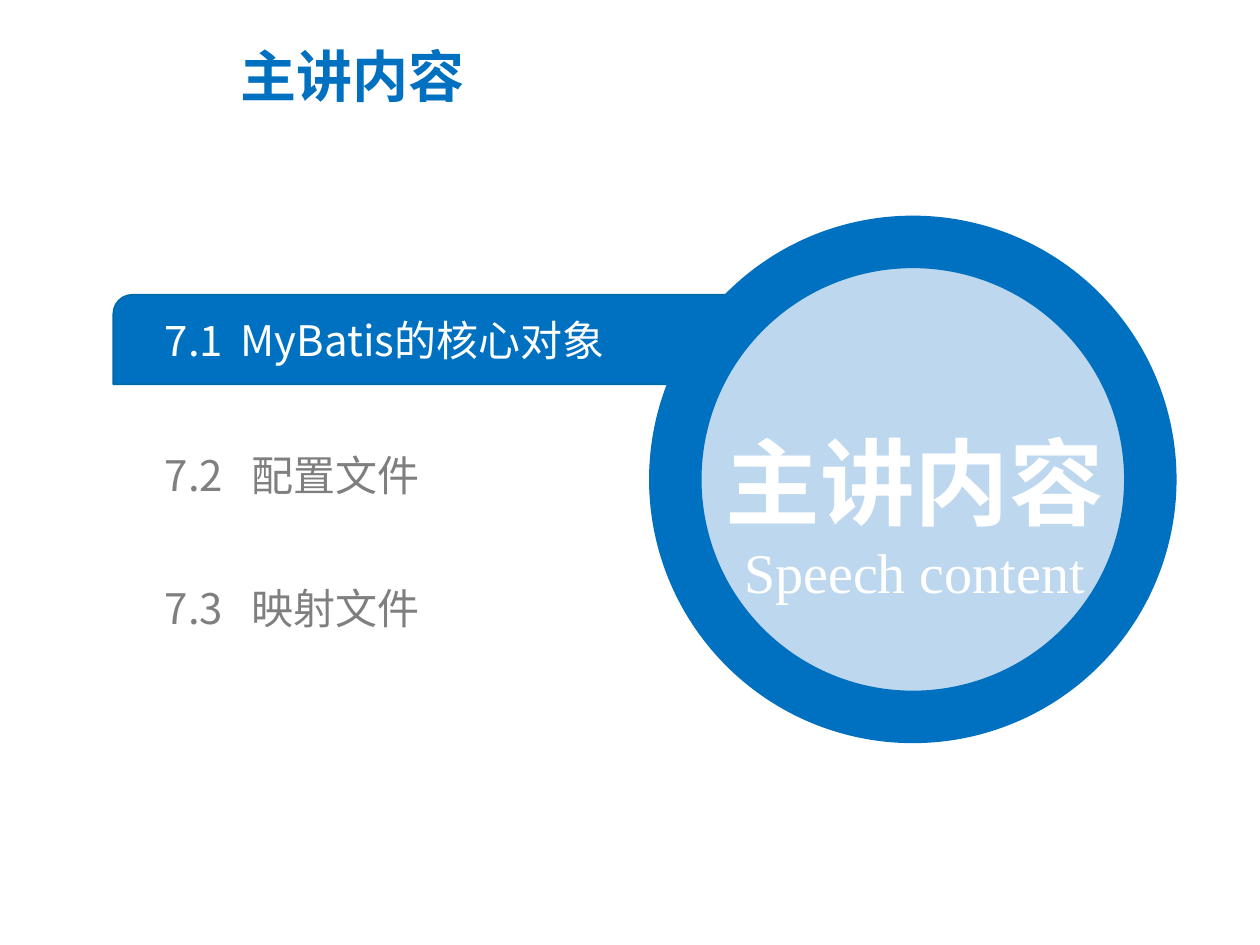
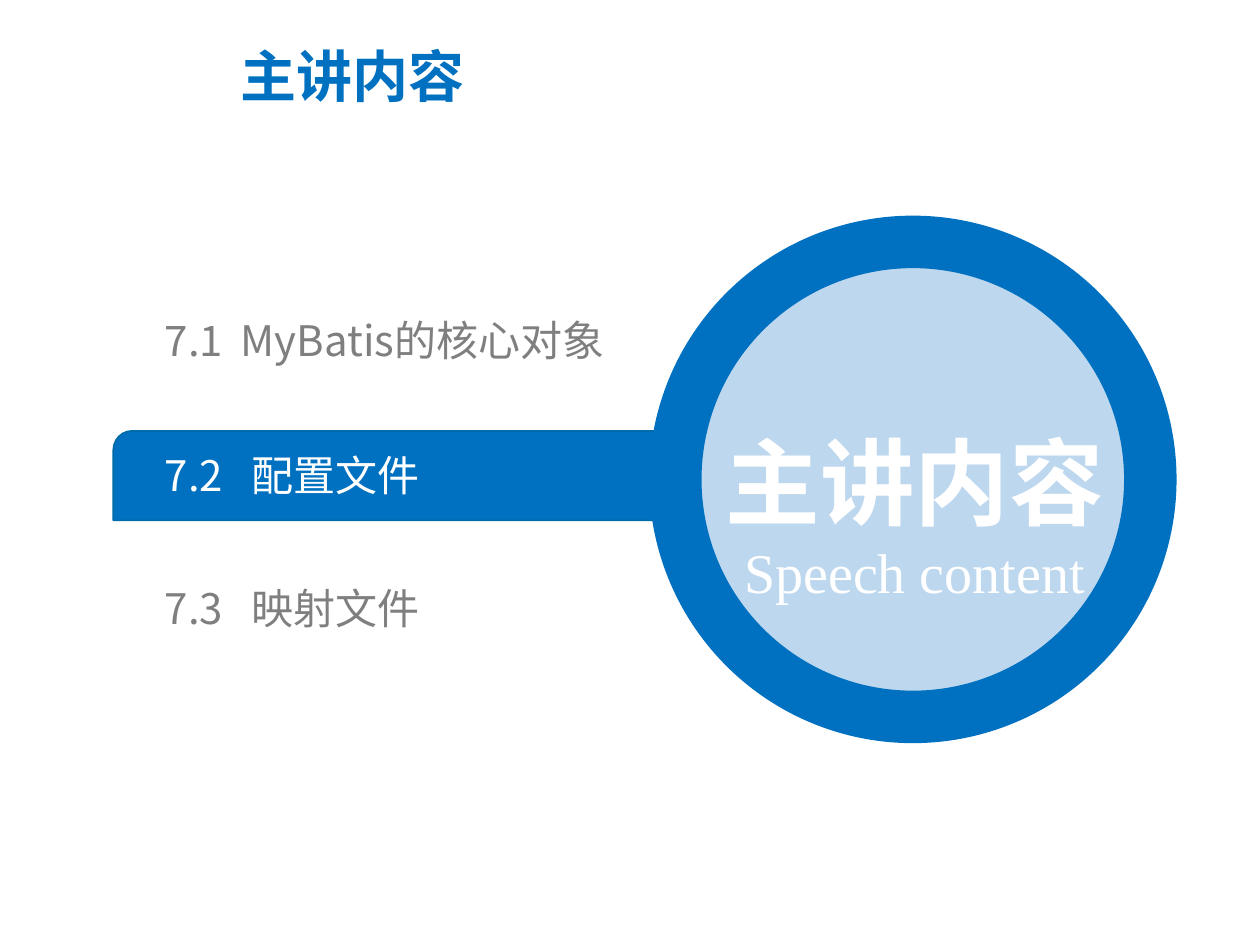
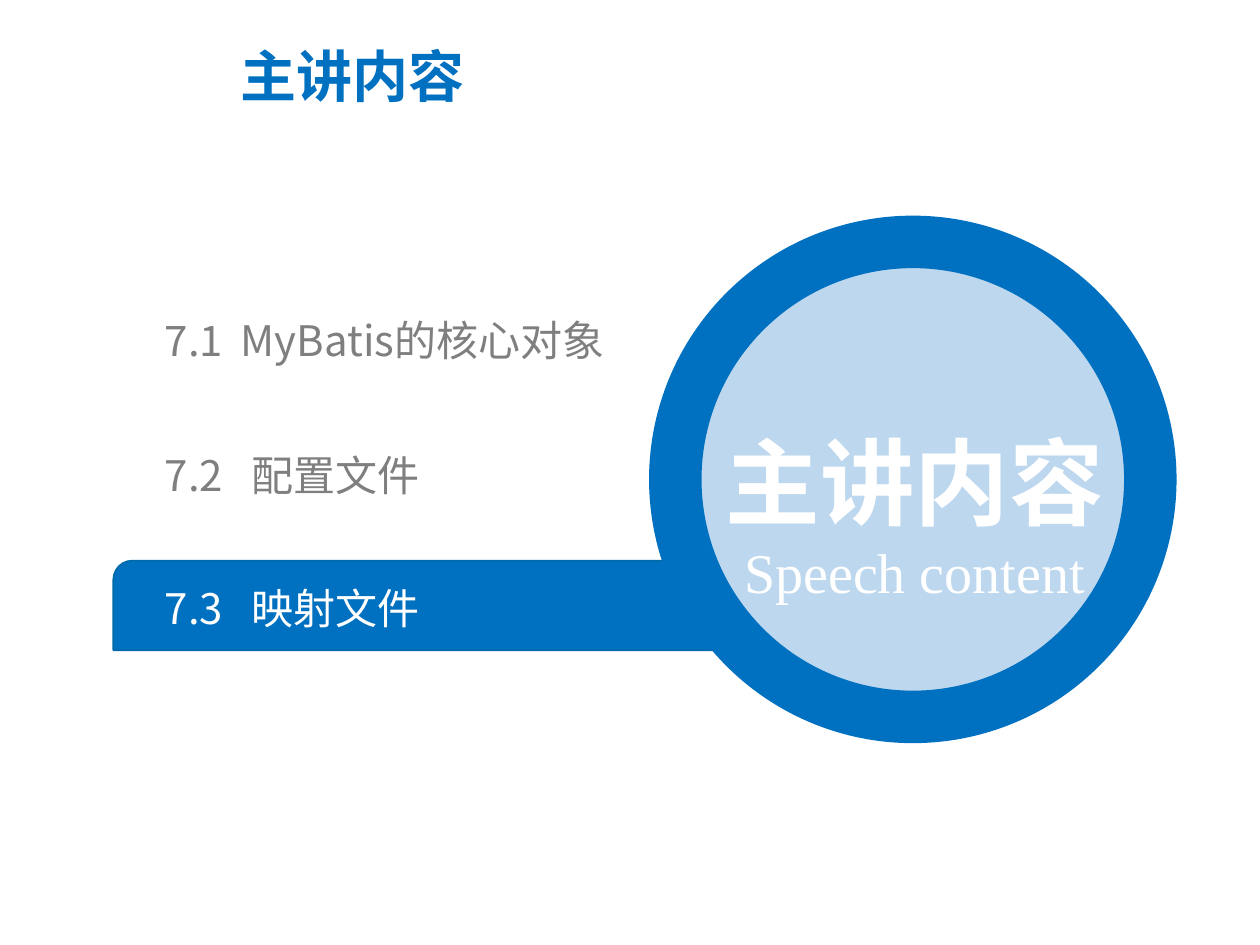
from dataclasses import dataclass

from lxml import etree
from pptx import Presentation
from pptx.dml.color import RGBColor
from pptx.enum.shapes import MSO_SHAPE
from pptx.enum.text import MSO_ANCHOR, MSO_AUTO_SIZE, PP_ALIGN
from pptx.oxml.ns import qn
from pptx.util import Inches, Pt

OVAL, DIAGONAL_BAR = MSO_SHAPE.OVAL, MSO_SHAPE.ROUND_2_DIAG_RECTANGLE
LEFT, CENTER = PP_ALIGN.LEFT, PP_ALIGN.CENTER
TOP, MIDDLE = MSO_ANCHOR.TOP, MSO_ANCHOR.MIDDLE
TITLE_ONLY = 5


@dataclass(frozen=True)
class Theme:
    blue: str = "0070C0"
    bar_edge: str = "006BA9"
    pale_blue: str = "BDD7EE"
    white: str = "FFFFFF"
    gray: str = "7F7F7F"
    sans: str = "Noto Sans CJK SC"
    serif: str = "Times New Roman"
    title_size: int = 32
    topic_size: int = 24
    badge_size: int = 54


THEME = Theme()

TITLE = "主讲内容"
SUBTITLE = "Speech content"
# number, topic, topic indent, text top, highlight bar top
SECTIONS = [
    ("7.1", "MyBatis的核心对象", 0.6, 2.5, 2.34),
    ("7.2", "配置文件", 0.69, 3.57, 3.42),
    ("7.3", "映射文件", 0.69, 4.62, 4.45),
]

TITLE_BOX = (1.81, 0.34, 6.15, 0.85)
BADGE_BOX = (5.36, 1.92, 3.77, 3.77)
BADGE_TEXT_BOX = (5.31, 2.86, 3.9, 1.99)
BAR_LEFT, BAR_WIDTH, BAR_HEIGHT = 0.9, 6.26, 0.71
BAR_CORNER = 0.15
TOPIC_LEFT, TOPIC_WIDTH, TOPIC_HEIGHT = 1.31, 4.76, 0.4


def inches(box):
    return [Inches(v) for v in box]


def write(p, text, size, color, font=THEME.sans, bold=False, align=LEFT,
          spacing=1.0, tab=None):
    """Fill one paragraph with a single formatted run."""
    if tab is not None:
        tabs = etree.SubElement(p._p.get_or_add_pPr(), qn("a:tabLst"))
        etree.SubElement(tabs, qn("a:tab"), pos=str(Inches(tab)), algn="l")
    p.alignment = align
    p.line_spacing = spacing
    r = p.add_run()
    r.text = text
    r.font.size = Pt(size)
    r.font.bold = bold
    r.font.color.rgb = RGBColor.from_string(color)
    r.font.name = font
    etree.SubElement(r._r.get_or_add_rPr(), qn("a:ea"), typeface=font)


def set_frame(tf, anchor, margins=(0.1, 0.05)):
    tf.word_wrap = True
    tf.auto_size = MSO_AUTO_SIZE.NONE
    tf.vertical_anchor = anchor
    tf.margin_left = tf.margin_right = Inches(margins[0])
    tf.margin_top = tf.margin_bottom = Inches(margins[1])
    return tf


def add_text_box(slide, box, **frame):
    return set_frame(slide.shapes.add_textbox(*inches(box)).text_frame, MIDDLE, **frame)


def add_shape(slide, kind, box, fill, line, width):
    sp = slide.shapes.add_shape(kind, *inches(box))
    sp.shadow.inherit = False
    sp.fill.solid()
    sp.fill.fore_color.rgb = RGBColor.from_string(fill)
    sp.line.color.rgb = RGBColor.from_string(line)
    sp.line.width = Pt(width)
    return sp


def add_title(slide):
    sp = slide.shapes.title
    sp.left, sp.top, sp.width, sp.height = inches(TITLE_BOX)
    tf = set_frame(sp.text_frame, TOP)
    write(tf.paragraphs[0], TITLE, THEME.title_size, THEME.blue, bold=True, spacing=0.9)


def add_bar(slide, top):
    sp = add_shape(slide, DIAGONAL_BAR, (BAR_LEFT, top, BAR_WIDTH, BAR_HEIGHT),
                   THEME.blue, THEME.bar_edge, 1)
    sp.adjustments[0] = BAR_CORNER / BAR_HEIGHT


def add_badge(slide):
    add_shape(slide, OVAL, BADGE_BOX, THEME.pale_blue, THEME.blue, 30)
    tf = add_text_box(slide, BADGE_TEXT_BOX)
    write(tf.paragraphs[0], TITLE, THEME.badge_size, THEME.white, bold=True,
          align=CENTER, spacing=1.5)
    write(tf.add_paragraph(), SUBTITLE, THEME.title_size, THEME.white,
          font=THEME.serif, align=CENTER)


def add_agenda_slide(prs, current):
    slide = prs.slides.add_slide(prs.slide_layouts[TITLE_ONLY])
    add_title(slide)
    add_bar(slide, current[-1])
    add_badge(slide)
    for section in SECTIONS:
        number, topic, indent, top, _ = section
        tf = add_text_box(slide, (TOPIC_LEFT, top, TOPIC_WIDTH, TOPIC_HEIGHT),
                          margins=(0, 0))
        color = THEME.white if section == current else THEME.gray
        write(tf.paragraphs[0], f"{number}\t{topic}", THEME.topic_size, color, tab=indent)


def main():
    prs = Presentation()
    prs.slide_width, prs.slide_height = Inches(10), Inches(7.5)
    for section in SECTIONS:
        add_agenda_slide(prs, section)
    prs.save("out.pptx")


if __name__ == "__main__":
    main()
